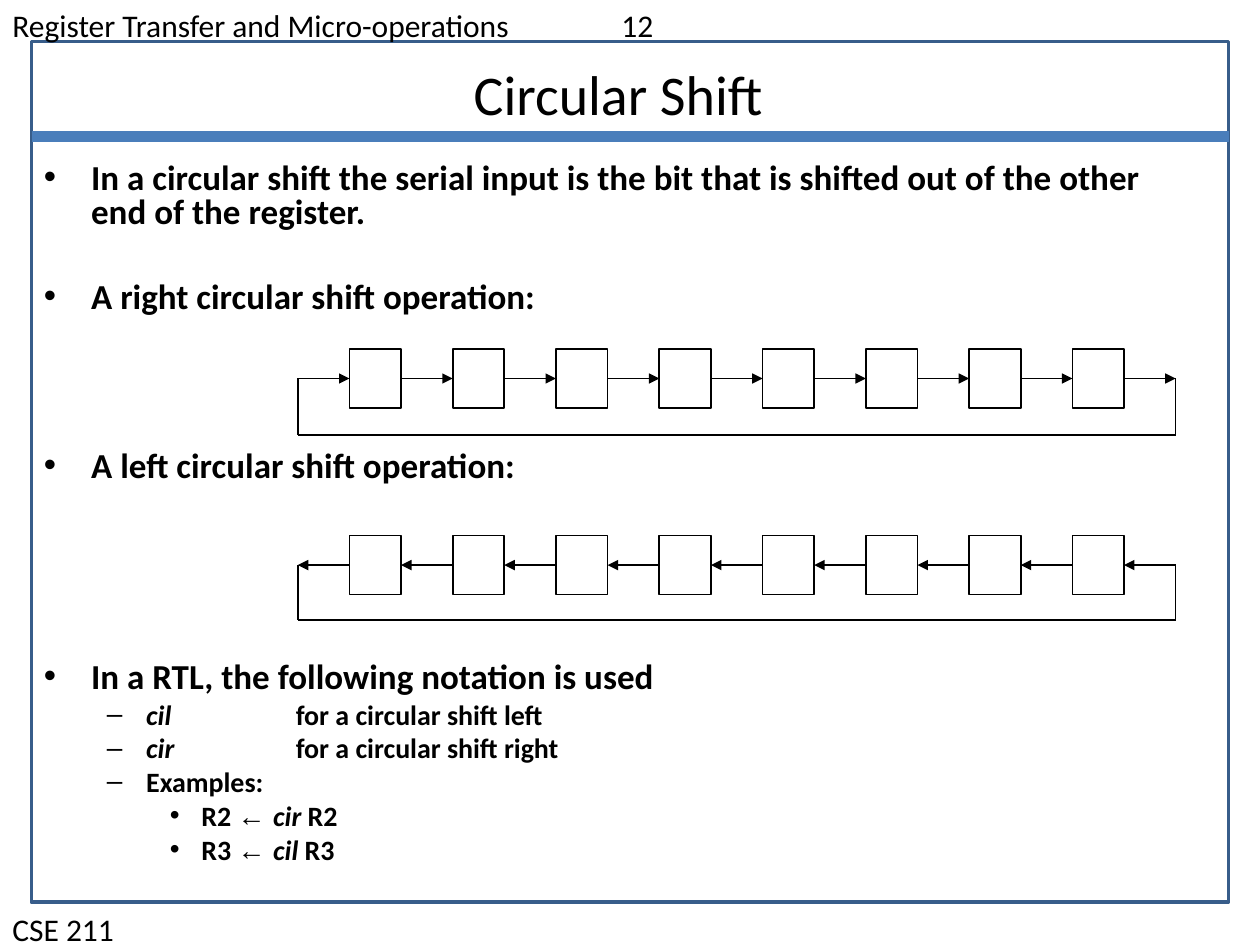
from lxml.etree import SubElement
from pptx import Presentation
from pptx.dml.color import RGBColor
from pptx.enum.shapes import MSO_CONNECTOR, MSO_SHAPE
from pptx.enum.text import PP_ALIGN
from pptx.oxml.ns import qn
from pptx.util import Pt

COLORS = {"text": "000000", "frame": "385D8A", "rule": "4A7EBB", "wire": "000000"}
# level: (left margin, hanging indent, bullet, text size)
LEVELS = {0: (27, 27, "•", 20), 1: (58.5, 22.5, "–", 16), 2: (90, 18, "•", 16)}
# level, space before, runs of (text, italic, font)
BODY = [
    (0, 5, [("In a circular shift the serial input is the bit that is shifted "
             "out of the other end of the register.", False, "Calibri")]),
    (0, 29.4, [("A right circular shift operation:", False, "Calibri")]),
    (0, 77.5, [("A left circular shift operation:", False, "Calibri")]),
    (0, 101.5, [("In a RTL, the following notation is used", False, "Calibri")]),
    (1, 4, [("cil\t", True, "Calibri"), ("for a circular shift left", False, "Calibri")]),
    (1, 4, [("cir\t", True, "Calibri"), ("for a circular shift right", False, "Calibri")]),
    (1, 4, [("Examples:", False, "Calibri")]),
    (2, 4, [("R2 ", False, "Calibri"), ("← ", False, "Arial"),
            ("cir", True, "Calibri"), (" R2", False, "Calibri")]),
    (2, 4, [("R3 ", False, "Calibri"), ("← ", False, "Arial"),
            ("cil", True, "Calibri"), (" R3", False, "Calibri")]),
]


def color(name):
    """Return the named colour."""
    return RGBColor.from_string(COLORS[name])


def add_span(para, text, size, font="Calibri", bold=False, italic=False):
    """Add one run of text to a paragraph."""
    span = para.add_run()
    span.text = text
    span.font.size = Pt(size)
    span.font.name = font
    span.font.bold = bold
    span.font.italic = italic
    span.font.color.rgb = color("text")


def add_tab(para, position):
    """Give a paragraph one left tab stop."""
    tabs = SubElement(para._p.get_or_add_pPr(), qn("a:tabLst"))
    SubElement(tabs, qn("a:tab"), pos=str(Pt(position)), algn="l")


def add_text_frame(page, left, top, width, height):
    """Add a wrapping text box and return its frame."""
    box = page.shapes.add_textbox(Pt(left), Pt(top), Pt(width), Pt(height))
    box.text_frame.word_wrap = True
    return box.text_frame


def add_label(page, left, top, width, height, text, size, align=PP_ALIGN.LEFT, tab=None):
    """Add a single line of text."""
    para = add_text_frame(page, left, top, width, height).paragraphs[0]
    para.alignment = align
    if tab:
        add_tab(para, tab)
    add_span(para, text, size)


def add_box(page, left, top, width, height, line, weight):
    """Add an unfilled outlined rectangle."""
    box = page.shapes.add_shape(MSO_SHAPE.RECTANGLE, Pt(left), Pt(top), Pt(width), Pt(height))
    box.shadow.inherit = False
    box.fill.background()
    box.line.color.rgb = color(line)
    box.line.width = Pt(weight)


def add_line(page, start, end, line="wire", weight=1, arrow=False):
    """Add a straight line, with an arrowhead at its end if asked."""
    wire = page.shapes.add_connector(
        MSO_CONNECTOR.STRAIGHT, Pt(start[0]), Pt(start[1]), Pt(end[0]), Pt(end[1]))
    wire.line.color.rgb = color(line)
    wire.line.width = Pt(weight)
    if arrow:
        SubElement(wire.line._get_or_add_ln(), qn("a:tailEnd"), type="triangle")
    SubElement(wire._element.spPr, qn("a:effectLst"))


def add_frame(page, left, top, width, height):
    """Add the slide frame with the rule below its title."""
    add_box(page, left, top, width, height, "frame", 2)
    add_line(page, (left, top + 54.2), (left + width, top + 54.2), "rule", 6.75)


def add_body(page, left, top, width, height):
    """Add the bulleted text."""
    frame = add_text_frame(page, left, top, width, height)
    for index, (level, space, spans) in enumerate(BODY):
        para = frame.paragraphs[0] if index == 0 else frame.add_paragraph()
        margin, hanging, bullet, size = LEVELS[level]
        para.level = level
        para.line_spacing = 0.8
        para.space_before = Pt(space)
        properties = para._p.get_or_add_pPr()
        properties.set("marL", str(Pt(margin)))
        properties.set("indent", str(-Pt(hanging)))
        bullet_color = SubElement(properties, qn("a:buClr"))
        SubElement(bullet_color, qn("a:srgbClr"), val=COLORS["text"])
        SubElement(properties, qn("a:buFont"), typeface="Arial")
        SubElement(properties, qn("a:buChar"), char=bullet)
        if level == 1:
            add_tab(para, 144)
        for text, italic, font in spans:
            add_span(para, text, size, font, True, italic)


def add_register(page, left, top, width, height, to_right, cells=8):
    """Add a row of cells joined by arrows, with a loop back below."""
    step = width / (2 * cells + 1)
    cell_height = 33.8
    middle, bottom, right = top + cell_height / 2, top + height, left + width
    for index in range(cells):
        add_box(page, left + (2 * index + 1) * step, top, step, cell_height, "wire", 1)
    for index in range(cells + 1):
        start = (left + 2 * index * step, middle)
        end = (start[0] + step, middle)
        if not to_right:
            start, end = end, start
        add_line(page, start, end, arrow=True)
    add_line(page, (left, bottom), (left, middle))
    add_line(page, (right, bottom), (right, middle))
    add_line(page, (left, bottom), (right, bottom))


def build_slide(page):
    """Place every part of the slide."""
    add_frame(page, 18, 23.8, 684, 491.8)
    add_label(page, 0, 0, 720, 29.2, "Register Transfer and Micro-operations\t12", 18, tab=348)
    add_label(page, 0, 516.2, 720, 29, "CSE 211", 18)
    add_label(page, 54, 30.2, 606, 46, "Circular Shift ", 32, PP_ALIGN.CENTER)
    add_body(page, 18, 90, 654, 445.7)
    add_register(page, 170.2, 199.4, 501.6, 49, True)
    add_register(page, 170.2, 306, 501.6, 48.2, False)


deck = Presentation()
deck.slide_width, deck.slide_height = Pt(720), Pt(540)
build_slide(deck.slides.add_slide(deck.slide_layouts[6]))
deck.save("out.pptx")
